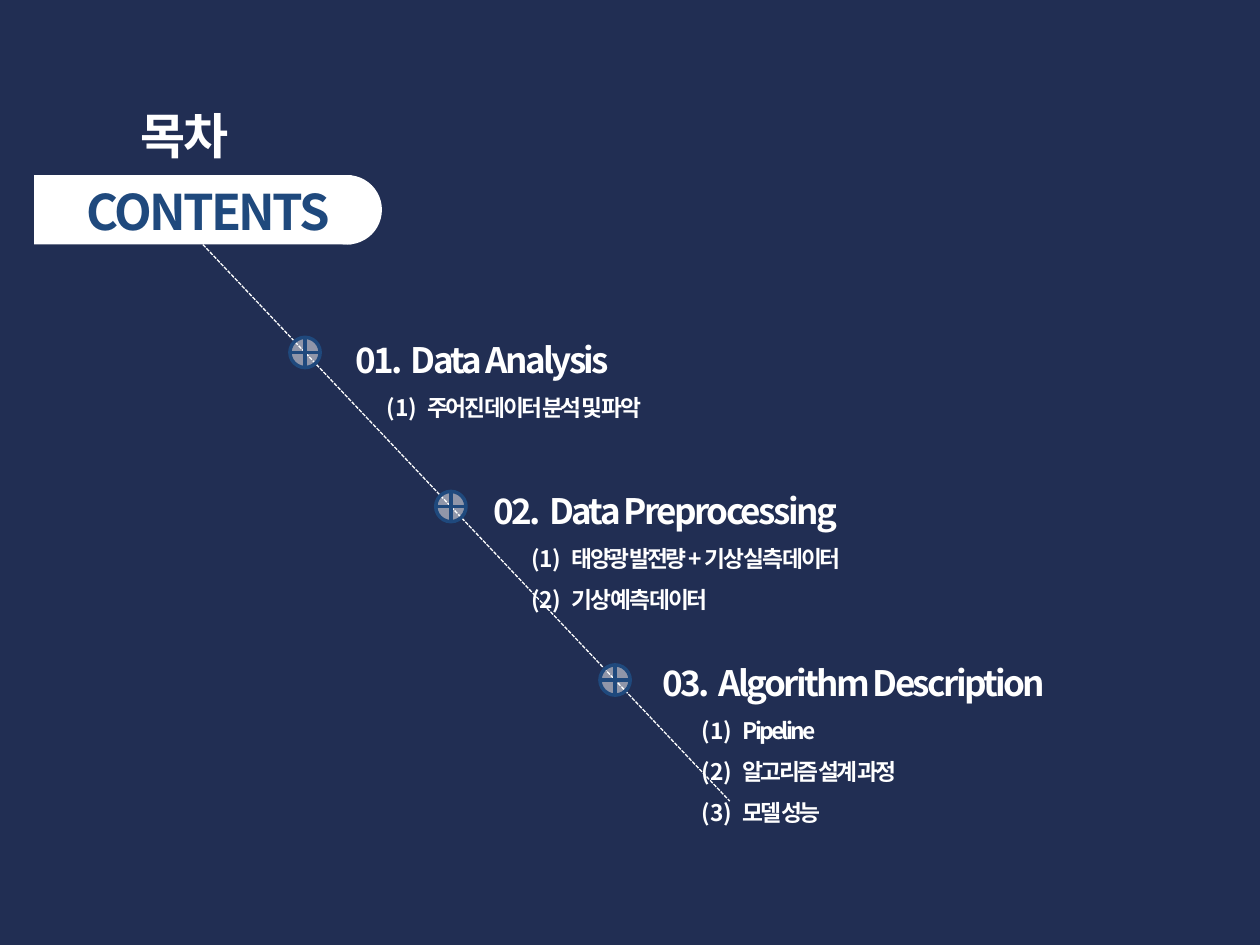
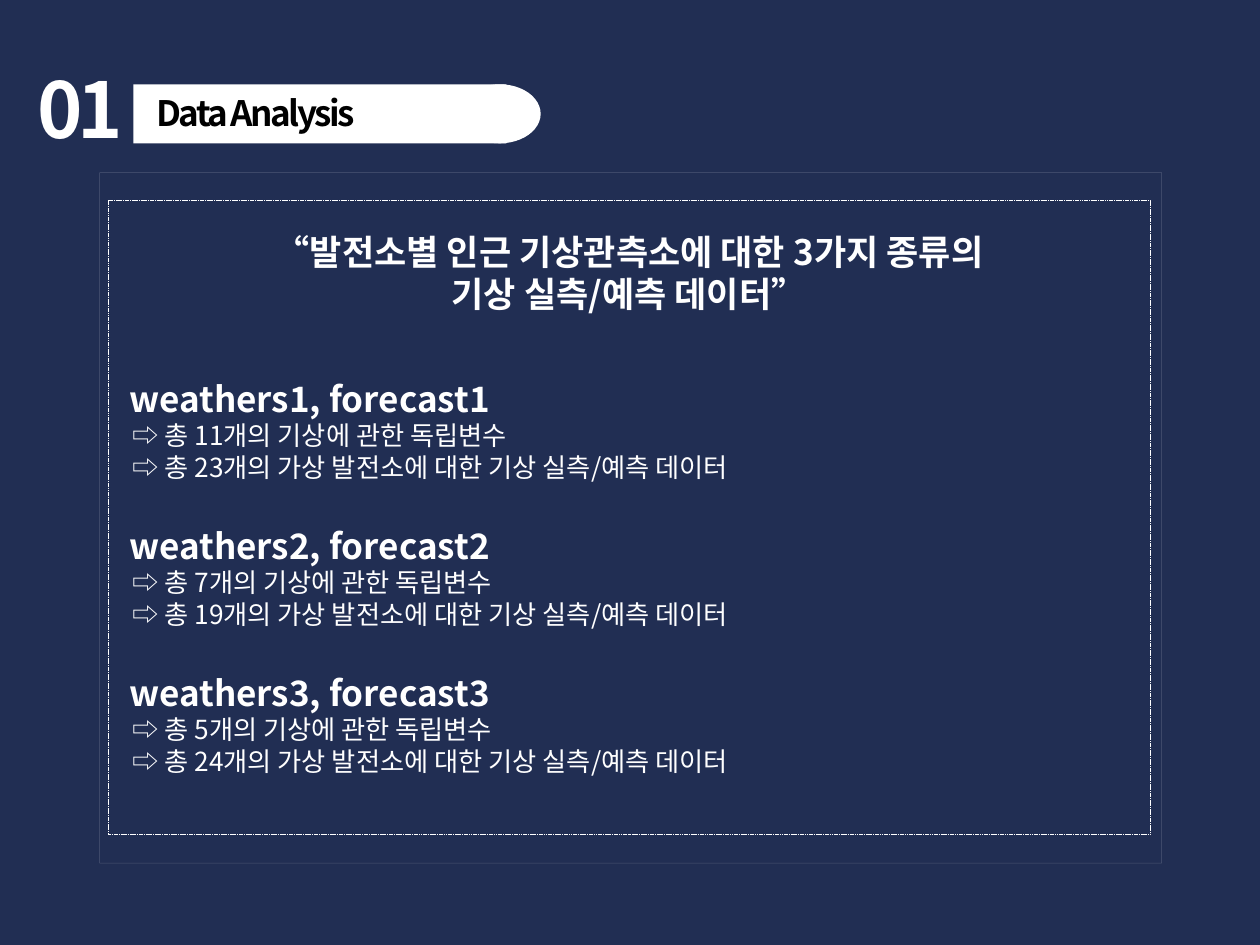
from pptx import Presentation
from pptx.dml.color import RGBColor
from pptx.enum.dml import MSO_LINE
from pptx.enum.shapes import MSO_CONNECTOR as Link, MSO_SHAPE as Kind
from pptx.enum.text import PP_ALIGN as Align
from pptx.oxml.ns import qn
from pptx.util import Cm, Pt
from lxml.etree import SubElement

# Shared look
NAVY = RGBColor(0x21, 0x2E, 0x53)
BLUE = RGBColor(0x1F, 0x49, 0x7D)
WHITE = RGBColor(0xFF, 0xFF, 0xFF)
BLACK = RGBColor(0, 0, 0)
FONT = "Noto Sans CJK KR"
TIGHT = -1.5

# Contents: left, top, width, height, marker x, item indent, title, items
PARTS = [
    (6.91, 6.27, 8.26, 2.26, 6.15, 0.64, "01.\tData Analysis",
     ["주어진 데이터 분석 및 파악"]),
    (9.7, 9.32, 13.82, 4.06, 9.09, 0.76, "02.\tData Preprocessing",
     ["태양광 발전량 + 기상 실측 데이터", "기상 예측 데이터"]),
    (13.11, 12.78, 10.41, 5.16, 12.4, 0.79, "03.\tAlgorithm Description",
     ["Pipeline", "알고리즘 설계 과정", "모델 성능"]),
]
PATH_FROM, PATH_TO = (4.09, 4.93), (14.71, 16.15)
DOT = 0.61
TITLE_HANG, ITEM_HANG = 1.12, 0.82

# Data analysis: number of variables and of plants in each set
QUOTE = ["“발전소별 인근 기상관측소에 대한 3가지 종류의", "기상 실측/예측 데이터”"]
SETS = [(11, 23), (7, 19), (5, 24)]


def new_slide(deck):
    slide = deck.slides.add_slide(deck.slide_layouts[6])
    slide.background.fill.solid()
    slide.background.fill.fore_color.rgb = NAVY
    return slide


def add_text(slide, box, rows):
    """Each row is a pair: the words and a dict of style settings."""
    frame = slide.shapes.add_textbox(*map(Cm, box)).text_frame
    frame.word_wrap = True
    frame.text = "\n".join(words for words, _ in rows)
    for para, (_, look) in zip(frame.paragraphs, rows):
        style(para, **look)


def style(para, size, color=WHITE, bold=True, track=0, align=Align.LEFT,
          lines=None, before=0, left=0, hang=0):
    para.alignment = align
    para.space_before = Pt(before)
    if lines:
        para.line_spacing = lines
    props = para._p.get_or_add_pPr()
    props.set("marL", str(Cm(left + hang)))
    props.set("indent", str(-Cm(hang)))
    for run in para.runs:
        font = run.font
        font.name, font.size, font.bold = FONT, Pt(size), bold
        font.color.rgb = color
        mark = run._r.get_or_add_rPr()
        mark.set("spc", str(int(track * 100)))
        SubElement(mark, qn("a:ea")).set("typeface", FONT)


def add_shape(shapes, kind, box, fill=None, line=None, width=1):
    shape = shapes.add_shape(kind, *map(Cm, box))
    shape.shadow.inherit = False
    if fill is None:
        shape.fill.background()
    else:
        shape.fill.solid()
        shape.fill.fore_color.rgb = fill
    if line is None:
        shape.line.fill.background()
    else:
        shape.line.color.rgb = line
        shape.line.width = Pt(width)
    return shape


def fade(shape, percent):
    """Make the first colour of the shape see-through."""
    color = next(shape.element.iter(qn("a:srgbClr")))
    SubElement(color, qn("a:alpha")).set("val", str(percent * 1000))


def add_band(slide, left, top, width, high, cap_left, cap_width):
    shapes = slide.shapes.add_group_shape().shapes
    add_shape(shapes, Kind.RECTANGLE, (left, top, width, high), WHITE)
    add_shape(shapes, Kind.OVAL, (cap_left, top, cap_width, high), WHITE)


def add_path(slide):
    path = slide.shapes.add_connector(
        Link.STRAIGHT, *map(Cm, PATH_FROM + PATH_TO))
    path.line.color.rgb = WHITE
    path.line.width = Pt(0.75)
    path.line.dash_style = MSO_LINE.SQUARE_DOT
    SubElement(path.element.spPr, qn("a:effectLst"))


def build_contents(deck):
    slide = new_slide(deck)
    # Title and band
    add_text(slide, (2.59, 2.01, 2.59, 1.45),
             [("목차", dict(size=28, track=TIGHT))])
    add_band(slide, 0.69, 3.53, 6.4, 1.4, 6.3, 1.4)
    add_text(slide, (1.5, 3.53, 6.4, 1.45),
             [("CONTENTS", dict(size=28, color=BLUE, track=TIGHT))])
    add_path(slide)
    # Markers sit on the path, each beside its part
    (x0, y0), (x1, y1) = PATH_FROM, PATH_TO
    for left, top, width, high, x, indent, title, items in PARTS:
        y = y0 + (x - x0) * (y1 - y0) / (x1 - x0)
        dot = add_shape(slide.shapes, Kind.FLOWCHART_OR,
                        (x - DOT / 2, y - DOT / 2, DOT, DOT), WHITE, BLUE, 2)
        fade(dot, 50)
        rows = [(title, dict(size=20, track=TIGHT, lines=1.5, hang=TITLE_HANG))]
        for num, item in enumerate(items, 1):
            rows.append((f"( {num} )\t{item}",
                         dict(size=13, track=TIGHT, lines=1.5,
                              left=indent, hang=ITEM_HANG)))
        add_text(slide, (left, top, width, high), rows)


def build_data(deck):
    slide = new_slide(deck)
    # Section number and band
    add_text(slide, (0.51, 1.12, 2.79, 2.13), [("01", dict(size=44, track=-3))])
    add_band(slide, 2.69, 1.7, 7.52, 1.19, 9.25, 1.65)
    add_text(slide, (2.9, 1.73, 7.42, 1.12),
             [("Data Analysis", dict(size=20, color=BLACK, track=TIGHT))])
    # Quote, then the three sets
    rows = [(words, dict(size=20, align=Align.CENTER)) for words in QUOTE]
    item = dict(size=15, bold=False, left=0.24)
    for num, (factors, plants) in enumerate(SETS, 1):
        gap = 36 if num == 1 else 24
        rows += [
            (f"weathers{num}, forecast{num}", dict(size=20, left=0.18, before=gap)),
            (f"⇨ 총 {factors}개의 기상에 관한 독립변수", item),
            (f"⇨ 총 {plants}개의 가상 발전소에 대한 기상 실측/예측 데이터", item),
        ]
    add_text(slide, (2.18, 4.52, 21.01, 11.79), rows)
    # Double frame
    shapes = slide.shapes.add_group_shape().shapes
    inner = add_shape(shapes, Kind.RECTANGLE, (2.18, 4.04, 21.01, 12.78),
                      line=WHITE, width=0.25)
    inner.line.dash_style = MSO_LINE.SQUARE_DOT
    outer = add_shape(shapes, Kind.RECTANGLE, (2.01, 3.48, 21.41, 13.92),
                      line=WHITE, width=0.25)
    fade(outer, 20)


def main():
    deck = Presentation()
    deck.slide_width, deck.slide_height = Cm(25.4), Cm(19.05)
    build_contents(deck)
    build_data(deck)
    deck.save("out.pptx")


if __name__ == "__main__":
    main()
